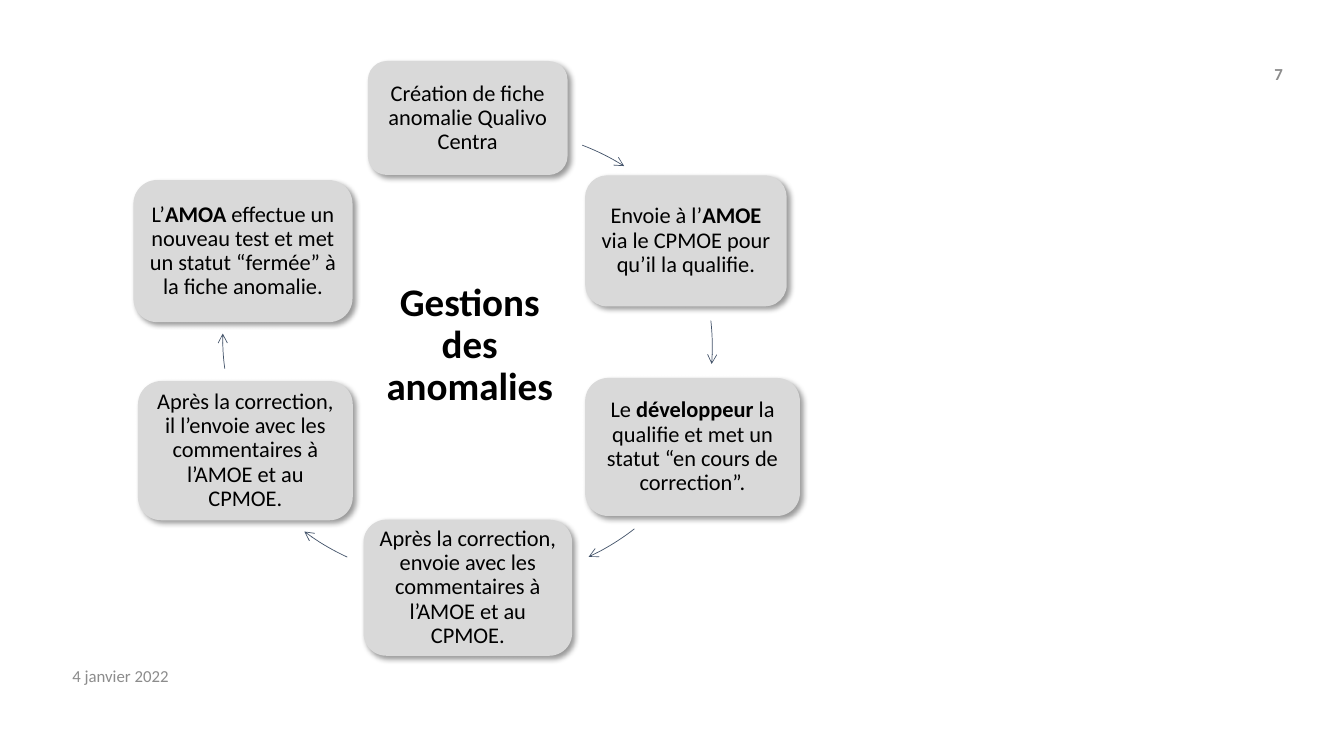
from lxml import etree
from pptx import Presentation
from pptx.dml.color import RGBColor
from pptx.enum.shapes import MSO_SHAPE as Preset
from pptx.enum.text import MSO_ANCHOR as Anchor, PP_ALIGN as Align
from pptx.oxml import parse_xml
from pptx.oxml.ns import nsdecls, qn
from pptx.util import Pt

FONT = "Calibri"
DIAMETER = 335.6  # circle that the arrow arcs follow

# Box (left, top, width, height) and text runs (text, bold), clockwise from the top
STEPS = [
    ((262.8, 43.6, 142.6, 81.4), [("Création de fiche anomalie Qualivo Centra", False)]),
    ((418, 125.3, 144, 93.6),
     [("Envoie à l’", False), ("AMOE", True), (" via le CPMOE pour qu’il la qualifie.", False)]),
    ((418, 270, 153.4, 98.6),
     [("Le ", False), ("développeur ", True),
      ("la qualifie et met un statut “en cours de correction”.", False)]),
    ((259.7, 371.2, 149, 97.2),
     [("Après la correction, envoie avec les commentaires à l’AMOE et au CPMOE.", False)]),
    ((98.6, 272.2, 153.4, 99.4),
     [("Après la correction, il l’envoie avec les commentaires à l’AMOE et au CPMOE.", False)]),
    ((95.3, 128.6, 156.5, 101.5),
     [("L’", False), ("AMOA", True),
      (" effectue un nouveau test et met un statut “fermée” à la fiche anomalie.", False)]),
]

# Circle left and top, start and end angle in degrees clockwise from the right
ARCS = [
    (188.6, 92.8, 290.8, 302.2),
    (173.2, 79.9, 353.6, 4.2),
    (182.1, 77.7, 52, 65.1),
    (150.4, 77.7, 114.7, 126.9),
    (159.1, 73.4, 172.4, 181),
]


def color(value):
    return RGBColor.from_string(value)


def write(shape, runs, size, text_color, align, bold=None, line_spacing=None):
    frame = shape.text_frame
    frame.word_wrap = True
    frame.vertical_anchor = Anchor.MIDDLE
    paragraph = frame.paragraphs[0]
    paragraph.alignment = align
    paragraph.line_spacing = line_spacing
    paragraph.font.name = FONT
    paragraph.font.size = Pt(size)
    paragraph.font.bold = bold
    paragraph.font.color.rgb = color(text_color)
    for text, run_bold in runs:
        run = paragraph.add_run()
        run.text = text
        if run_bold:
            run.font.bold = True


def add_label(slide, box, text, size, text_color, align, bold=None, line_spacing=None):
    label = slide.shapes.add_textbox(*map(Pt, box))
    write(label, [(text, False)], size, text_color, align, bold, line_spacing)


def add_step(slide, box, runs):
    step = slide.shapes.add_shape(Preset.ROUNDED_RECTANGLE, *map(Pt, box))
    step.fill.solid()
    step.fill.fore_color.rgb = color("D9D9D9")
    step.line.fill.background()
    # Soft shadow to the lower right
    step._element.spPr.append(parse_xml(
        f'<a:effectLst {nsdecls("a")}>'
        f'<a:outerShdw blurRad="{Pt(4)}" dist="{Pt(3)}" dir="2700000" algn="tl" rotWithShape="0">'
        '<a:srgbClr val="000000"><a:alpha val="40000"/></a:srgbClr>'
        '</a:outerShdw></a:effectLst>'))
    frame = step.text_frame
    frame.margin_left = frame.margin_right = Pt(4.8)
    frame.margin_top = frame.margin_bottom = Pt(4.8)
    write(step, runs, 16, "000000", Align.CENTER, line_spacing=0.9)


def add_arc_arrow(slide, left, top, start, end):
    arrow = slide.shapes.add_shape(Preset.ARC, Pt(left), Pt(top), Pt(DIAMETER), Pt(DIAMETER))
    # An adjustment of 0.6 is one degree
    arrow.adjustments[0] = start * 0.6
    arrow.adjustments[1] = end * 0.6
    arrow.shadow.inherit = False
    arrow.fill.background()
    arrow.line.color.rgb = color("44546A")
    arrow.line.width = Pt(0.5)
    etree.SubElement(arrow.line._get_or_add_ln(), qn("a:tailEnd"), type="arrow")


def add_cycle(slide):
    add_label(slide, (264.2, 195, 142.6, 103.7), "Gestions des anomalies", 27.9,
              "000000", Align.CENTER, bold=True, line_spacing=0.9)
    for box, runs in STEPS:
        add_step(slide, box, runs)
    for arc in ARCS:
        add_arc_arrow(slide, *arc)


def add_page_marks(slide):
    add_label(slide, (44.6, 468.4, 324, 28.8), "4 janvier 2022", 12, "8C8C8C", Align.LEFT)
    add_label(slide, (851.5, 40.3, 72, 24.5), "7", 12, "8C8C8C", Align.RIGHT, bold=True)


def main():
    presentation = Presentation()
    presentation.slide_width = Pt(960)
    presentation.slide_height = Pt(540)
    slide = presentation.slides.add_slide(presentation.slide_layouts[6])
    add_cycle(slide)
    add_page_marks(slide)
    presentation.save("out.pptx")


if __name__ == "__main__":
    main()
